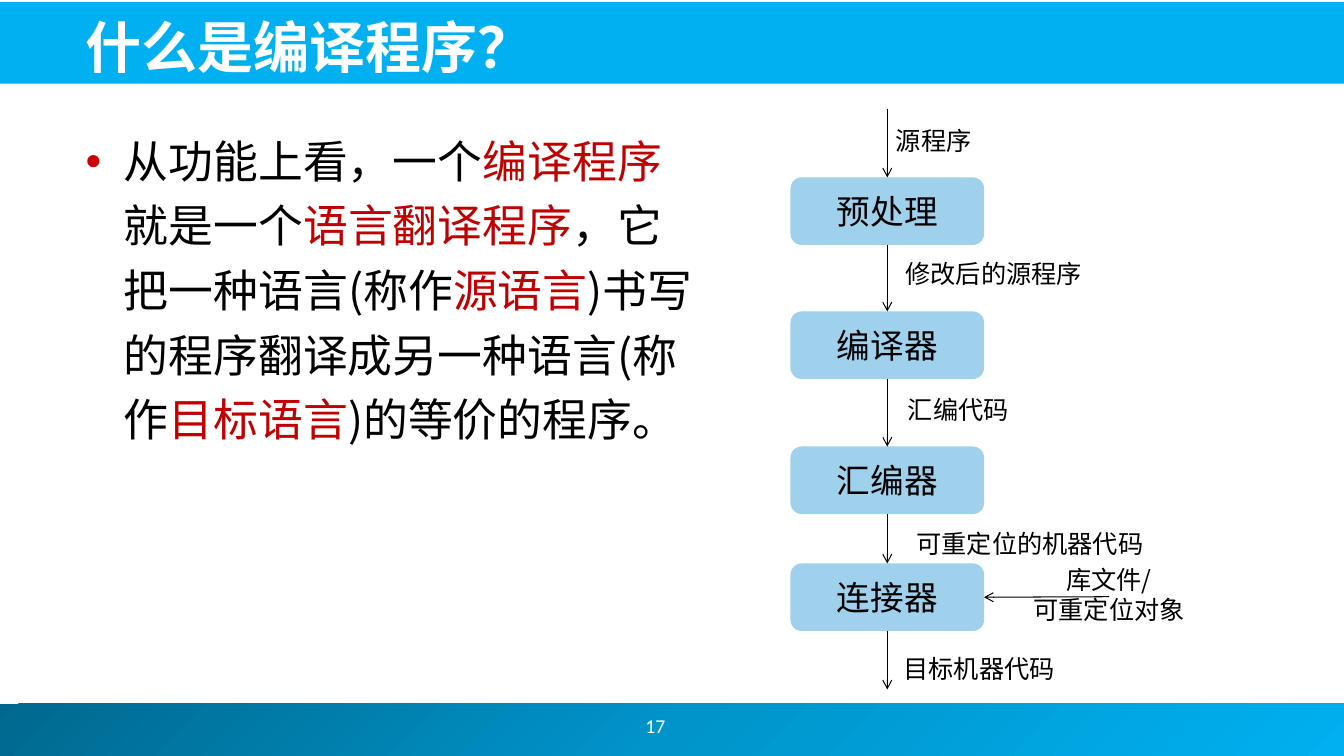
import copy

import pptx
import pptx.dml.color
import pptx.enum.shapes
import pptx.enum.text
import pptx.oxml
import pptx.oxml.ns
import pptx.util

PX = 9144  # EMU per px, 100 px to the inch
COLORS = {"bar": "00B0F0", "bar_mid": "0094CA", "bar_dark": "00688E", "box": "9FD0EC",
          "text": "000000", "key": "C00000", "bullet": "CC0000", "white": "FFFFFF"}
JP, SC, LATIN = "Noto Sans CJK JP", "Noto Sans CJK SC", "Calibri"
ALIGN = pptx.enum.text.PP_ALIGN
ANCHOR = pptx.enum.text.MSO_ANCHOR
SHAPE = pptx.enum.shapes.MSO_SHAPE

DEFINITION = [
    ("从功能上看，一个", "text", JP), ("编译程序", "key", SC),
    ("就是一个", "text", JP), ("语言翻译程序", "key", JP),
    ("，它把一种语言(称作", "text", JP), ("源语言", "key", SC),
    (")书写的程序翻译成另一种语言(称作", "text", JP), ("目标语言", "key", SC),
    (")的等价的程序。", "text", JP),
]
BOX_LEFT, BOX_WIDTH, BOX_HEIGHT = 784, 192, 67
FLOW_X = BOX_LEFT + BOX_WIDTH // 2
FLOW_TOP, FLOW_BOTTOM = 108, 684
STAGES = [("预处理", 176), ("编译器", 309), ("汇编器", 443), ("连接器", 559)]
LABELS = [
    (["源程序"], 878, 119, 96, 40),
    (["修改后的源程序"], 887, 251, 197, 40),
    (["汇编代码"], 890, 386, 121, 40),
    (["可重定位的机器代码"], 898, 519, 247, 40),
    (["库文件/", "可重定位对象"], 1014, 555, 172, 71),
    (["目标机器代码"], 885, 643, 172, 40),
]


def px(*lengths):
    return [pptx.util.Emu(n * PX) for n in lengths]


def rgb(name):
    return pptx.dml.color.RGBColor.from_string(COLORS[name])


def a_element(tag, attributes=""):
    return pptx.oxml.parse_xml(f"<a:{tag} {pptx.oxml.ns.nsdecls('a')} {attributes}/>")


def add_run(p, text, size, color="text", font=JP, bold=False):
    r = p.add_run()
    r.text = text
    r.font.size = pptx.util.Pt(size)
    r.font.bold = bold
    r.font.color.rgb = rgb(color)
    r.font.name = font
    r.font._element.find(pptx.oxml.ns.qn("a:latin")).addnext(
        a_element("ea", f'typeface="{font}"'))


def add_shape(s, kind, left, top, width, height):
    sp = s.shapes.add_shape(kind, *px(left, top, width, height))
    sp.shadow.inherit = False
    sp.line.fill.background()
    return sp


def add_bars(s):
    footer = add_shape(s, SHAPE.RECTANGLE, -5, 698, 1339, 52)
    footer.fill.gradient()
    footer.fill.gradient_angle = 315
    stops = footer.fill.gradient_stops
    first = stops[0]._gs
    first.addnext(copy.deepcopy(first))
    shades = [(0, "bar_dark"), (0.5, "bar_mid"), (1, "bar")]
    for stop, (position, color) in zip(footer.fill.gradient_stops, shades):
        stop.position = position
        stop.color.rgb = rgb(color)
    header = add_shape(s, SHAPE.RECTANGLE, -2, 2, 1336, 81)
    header.fill.solid()
    header.fill.fore_color.rgb = rgb("bar")


def add_title(s, text):
    """Fill the title placeholder and bring it in front of the bars."""
    sp = s.shapes.title
    s.shapes._spTree.append(sp._element)
    sp.left, sp.top, sp.width, sp.height = px(75, 5, 1214, 79)
    tf = sp.text_frame
    tf.word_wrap = True
    tf.auto_size = pptx.enum.text.MSO_AUTO_SIZE.NONE
    tf.vertical_anchor = ANCHOR.BOTTOM
    p = tf.paragraphs[0]
    p.alignment = ALIGN.LEFT
    add_run(p, text, 40, "white", bold=True)


def add_definition(s):
    tf = s.shapes.add_textbox(*px(75, 117, 631, 425)).text_frame
    tf.word_wrap = True
    p = tf.paragraphs[0]
    p.line_spacing = 1.2
    pPr = p._p.get_or_add_pPr()
    indent = 38 * PX
    pPr.set("marL", str(indent))
    pPr.set("indent", str(-indent))
    bullet_color = a_element("buClr")
    bullet_color.append(a_element("srgbClr", f'val="{COLORS["bullet"]}"'))
    pPr.append(bullet_color)
    pPr.append(a_element("buFont", 'typeface="Arial"'))
    pPr.append(a_element("buChar", 'char="•"'))
    for text, color, font in DEFINITION:
        add_run(p, text, 32, color, font)


def add_page_number(s, number):
    tf = s.shapes.add_textbox(*px(520, 695, 260, 50)).text_frame
    tf.word_wrap = True
    tf.vertical_anchor = ANCHOR.MIDDLE
    p = tf.paragraphs[0]
    p.alignment = ALIGN.CENTER
    add_run(p, number, 14, "white", LATIN)


def add_stage(s, text, top):
    sp = add_shape(s, SHAPE.ROUNDED_RECTANGLE, BOX_LEFT, top, BOX_WIDTH, BOX_HEIGHT)
    sp.fill.solid()
    sp.fill.fore_color.rgb = rgb("box")
    tf = sp.text_frame
    tf.word_wrap = False
    tf.vertical_anchor = ANCHOR.MIDDLE
    p = tf.paragraphs[0]
    p.alignment = ALIGN.CENTER
    add_run(p, text, 24)
    return sp


def add_label(s, lines, left, top, width, height):
    tf = s.shapes.add_textbox(*px(left, top, width, height)).text_frame
    tf.word_wrap = False
    tf.auto_size = pptx.enum.text.MSO_AUTO_SIZE.SHAPE_TO_FIT_TEXT
    for i, line in enumerate(lines):
        p = tf.add_paragraph() if i else tf.paragraphs[0]
        p.alignment = ALIGN.CENTER
        add_run(p, line, 18)


def add_arrow(s, start, end, source=None, target=None, target_side=0):
    """Draw an arrow, joined to the bottom of source and a side of target."""
    line = s.shapes.add_connector(
        pptx.enum.shapes.MSO_CONNECTOR.STRAIGHT, *px(*start, *end))
    line.line.width = pptx.util.Pt(0.75)
    line.line.color.rgb = rgb("text")
    line.line._get_or_add_ln().append(a_element("tailEnd", 'type="arrow"'))
    line._element.spPr.append(a_element("effectLst"))
    if source is not None:
        line.begin_connect(source, 2)
    if target is not None:
        line.end_connect(target, target_side)


def add_flow(s):
    boxes = [add_stage(s, text, top) for text, top in STAGES]
    tops = [top for _, top in STAGES]
    starts = [FLOW_TOP] + [top + BOX_HEIGHT for top in tops]
    ends = tops + [FLOW_BOTTOM]
    for start, end, source, target in zip(starts, ends, [None] + boxes, boxes + [None]):
        add_arrow(s, (FLOW_X, start), (FLOW_X, end), source, target)
    linker_y = tops[-1] + BOX_HEIGHT // 2
    add_arrow(s, (1100, linker_y), (BOX_LEFT + BOX_WIDTH, linker_y),
              target=boxes[-1], target_side=3)
    for label in LABELS:
        add_label(s, *label)


def main():
    prs = pptx.Presentation()
    prs.slide_width, prs.slide_height = px(1333, 750)
    s = prs.slides.add_slide(prs.slide_layouts[5])
    add_bars(s)
    add_title(s, "什么是编译程序？")
    add_definition(s)
    add_page_number(s, "17")
    add_flow(s)
    prs.save("out.pptx")


if __name__ == "__main__":
    main()
